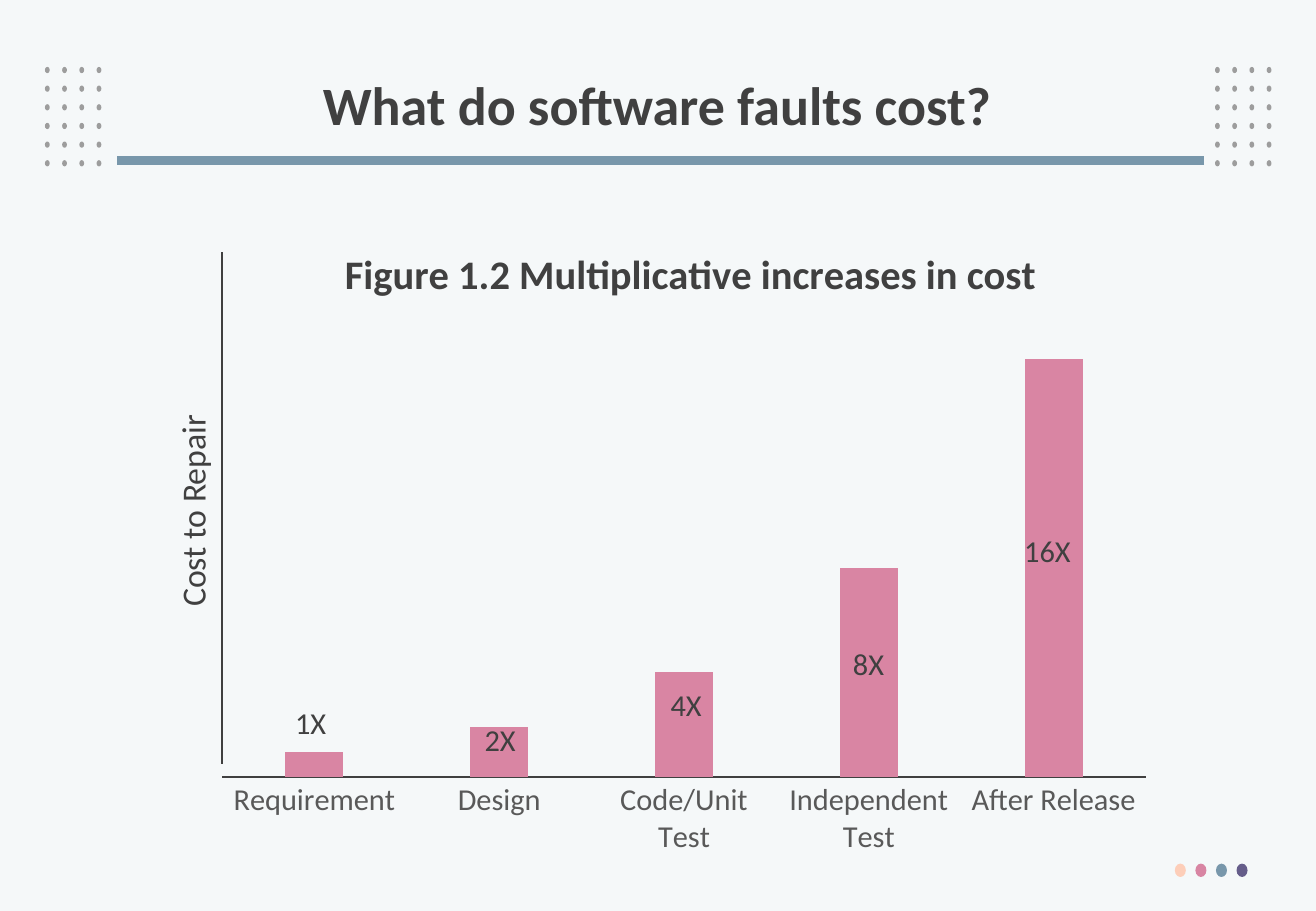
from dataclasses import dataclass

from lxml import etree
from pptx import Presentation
from pptx import util as u
from pptx.chart import data as chart_data
from pptx.dml.color import RGBColor
from pptx.enum import chart as charts, shapes, text
from pptx.oxml import ns


@dataclass(frozen=True)
class Theme:
    font: str = "Calibri"
    background: str = "F5F8F9"
    ink: str = "404040"
    axis_text: str = "595959"
    grid_dot: str = "9D9D9D"
    rule: str = "7897AB"
    bar: str = "D985A3"
    accents: tuple[str, ...] = ("FDCEB9", "D885A3", "7897AB", "655D8A")
    title_size: int = 32
    chart_title_size: int = 24
    axis_title_size: int = 20
    label_size: int = 18


@dataclass(frozen=True)
class Label:
    words: str
    left: float
    top: float
    width: float
    height: float = 1.02
    size: int = Theme.label_size
    rotation: int = 0


@dataclass(frozen=True)
class DotGrid:
    left: float
    top: float
    step_x: float
    step_y: float
    width: float
    height: float
    rows: tuple[tuple[str, ...], ...]  # one colour per dot


@dataclass(frozen=True)
class Rule:
    start: tuple[float, float]
    end: tuple[float, float]
    color: str
    weight: float


THEME = Theme()

CORNER_ROWS = ((THEME.grid_dot,) * 4,) * 6
DOT_GRIDS = (
    DotGrid(0.94, 1.4, 0.36, 0.39, 0.1, 0.13, CORNER_ROWS),
    DotGrid(25.4, 1.4, 0.36, 0.39, 0.1, 0.13, CORNER_ROWS),
    DotGrid(24.56, 18.06, 0.43, 0, 0.23, 0.28, (THEME.accents,)),
)
TITLE_RULE = Rule((25.17, 3.35), (2.44, 3.35), THEME.rule, 5.25)
COST_AXIS = Rule((4.65, 5.28), (4.65, 15.98), THEME.ink, 1.25)
LABELS = (
    Label("1X", 5.92, 14.6, 1.17),
    Label("2X", 9.88, 14.96, 1.17),
    Label("4X", 13.77, 14.22, 1.17),
    Label("8X", 17.58, 13.36, 1.17),
    Label("16X", 21.16, 11.0, 1.5),
    Label("Cost to Repair", 1.73, 10.08, 4.6, 1.12, THEME.axis_title_size, 270),
)
COSTS = {
    "Requirement": 6,
    "Design": 12,
    "Code/Unit Test": 25,
    "Independent Test": 50,
    "After Release": 100,
}


def color_of(code: str) -> RGBColor:
    return RGBColor.from_string(code)


def style_font(font, size: int, color: str, bold: bool = False) -> None:
    font.name = THEME.font
    font.size = u.Pt(size)
    font.bold = bold
    font.color.rgb = color_of(color)


def add_span(para, words: str, size: int, bold: bool = False) -> None:
    span = para.add_run()
    span.text = words
    style_font(span.font, size, THEME.ink, bold)


def draw_dots(page, grid: DotGrid) -> None:
    group = page.shapes.add_group_shape()
    for row, colors in enumerate(grid.rows):
        for column, color in enumerate(colors):
            dot = group.shapes.add_shape(
                shapes.MSO_SHAPE.OVAL,
                u.Cm(grid.left + column * grid.step_x),
                u.Cm(grid.top + row * grid.step_y),
                u.Cm(grid.width), u.Cm(grid.height))
            dot.shadow.inherit = False
            dot.fill.solid()
            dot.fill.fore_color.rgb = color_of(color)
            dot.line.fill.background()


def draw_rule(page, rule: Rule) -> None:
    ends = [u.Cm(value) for value in rule.start + rule.end]
    line = page.shapes.add_connector(shapes.MSO_CONNECTOR.STRAIGHT, *ends)
    line.line.color.rgb = color_of(rule.color)
    line.line.width = u.Pt(rule.weight)
    etree.SubElement(line.element.spPr, ns.qn("a:effectLst"))


def draw_label(page, label: Label) -> None:
    box = page.shapes.add_textbox(
        u.Cm(label.left), u.Cm(label.top), u.Cm(label.width), u.Cm(label.height))
    box.rotation = label.rotation
    box.text_frame.word_wrap = False
    box.text_frame.auto_size = text.MSO_AUTO_SIZE.SHAPE_TO_FIT_TEXT
    add_span(box.text_frame.paragraphs[0], label.words, label.size)


def write_title(page, words: str) -> None:
    title = page.shapes.title
    title.left, title.top = u.Cm(1.88), u.Cm(1.02)
    title.width, title.height = u.Cm(23.72), u.Cm(2.49)
    title.text_frame.vertical_anchor = text.MSO_ANCHOR.MIDDLE
    para = title.text_frame.paragraphs[0]
    para.alignment = text.PP_ALIGN.CENTER
    para.line_spacing = 0.9
    add_span(para, words, THEME.title_size, bold=True)


def set_layout(parent, index: int, **settings: object) -> None:
    """Place a chart part by hand, in fractions of the chart."""
    for old in parent.findall(ns.qn("c:layout")):
        parent.remove(old)
    layout = etree.Element(ns.qn("c:layout"))
    manual = etree.SubElement(layout, ns.qn("c:manualLayout"))
    for name, value in settings.items():
        etree.SubElement(manual, ns.qn(f"c:{name}")).set("val", str(value))
    parent.insert(index, layout)


def draw_cost_chart(page) -> None:
    costs = chart_data.CategoryChartData()
    costs.categories = list(COSTS)
    costs.add_series("Series 1", list(COSTS.values()))
    chart = page.shapes.add_chart(
        charts.XL_CHART_TYPE.COLUMN_CLUSTERED,
        u.Cm(4.24), u.Cm(4.45), u.Cm(20.12), u.Cm(13.72), costs).chart
    chart.has_legend = False
    style_font(chart.font, THEME.label_size, THEME.axis_text)

    # Chart title
    chart.has_title = True
    add_span(chart.chart_title.text_frame.paragraphs[0],
             "Figure 1.2 Multiplicative increases in cost",
             THEME.chart_title_size, bold=True)
    set_layout(chart.chart_title.element, 1,
               xMode="edge", yMode="edge", x=0.14, y=0.04)

    # Bars
    plot = chart.plots[0]
    plot.gap_width, plot.overlap = 219, -27
    plot.vary_by_categories = False
    bars = plot.series[0].format.fill
    bars.solid()
    bars.fore_color.rgb = color_of(THEME.bar)
    set_layout(chart.element.find(".//" + ns.qn("c:plotArea")), 0,
               layoutTarget="inner", xMode="edge", yMode="edge",
               x=0.02, y=0.096, w=0.96, h=0.764)

    # Axes
    stages, cost = chart.category_axis, chart.value_axis
    stages.major_tick_mark = charts.XL_TICK_MARK.NONE
    stages.format.line.color.rgb = color_of(THEME.ink)
    stages.format.line.width = u.Pt(1.25)
    style_font(stages.tick_labels.font, THEME.label_size, THEME.axis_text)
    cost.minimum_scale, cost.maximum_scale = 0, 120
    cost.has_major_gridlines = False
    cost.visible = False


def main() -> None:
    deck = Presentation()
    deck.slide_width, deck.slide_height = u.Cm(27.51), u.Cm(19.05)
    page = deck.slides.add_slide(deck.slide_layouts[5])
    page.background.fill.solid()
    page.background.fill.fore_color.rgb = color_of(THEME.background)

    # Decoration and title
    for grid in DOT_GRIDS:
        draw_dots(page, grid)
    draw_rule(page, TITLE_RULE)
    write_title(page, "What do software faults cost?")

    # Chart with its labels and cost axis
    draw_cost_chart(page)
    for label in LABELS:
        draw_label(page, label)
    draw_rule(page, COST_AXIS)
    deck.save("out.pptx")


if __name__ == "__main__":
    main()
